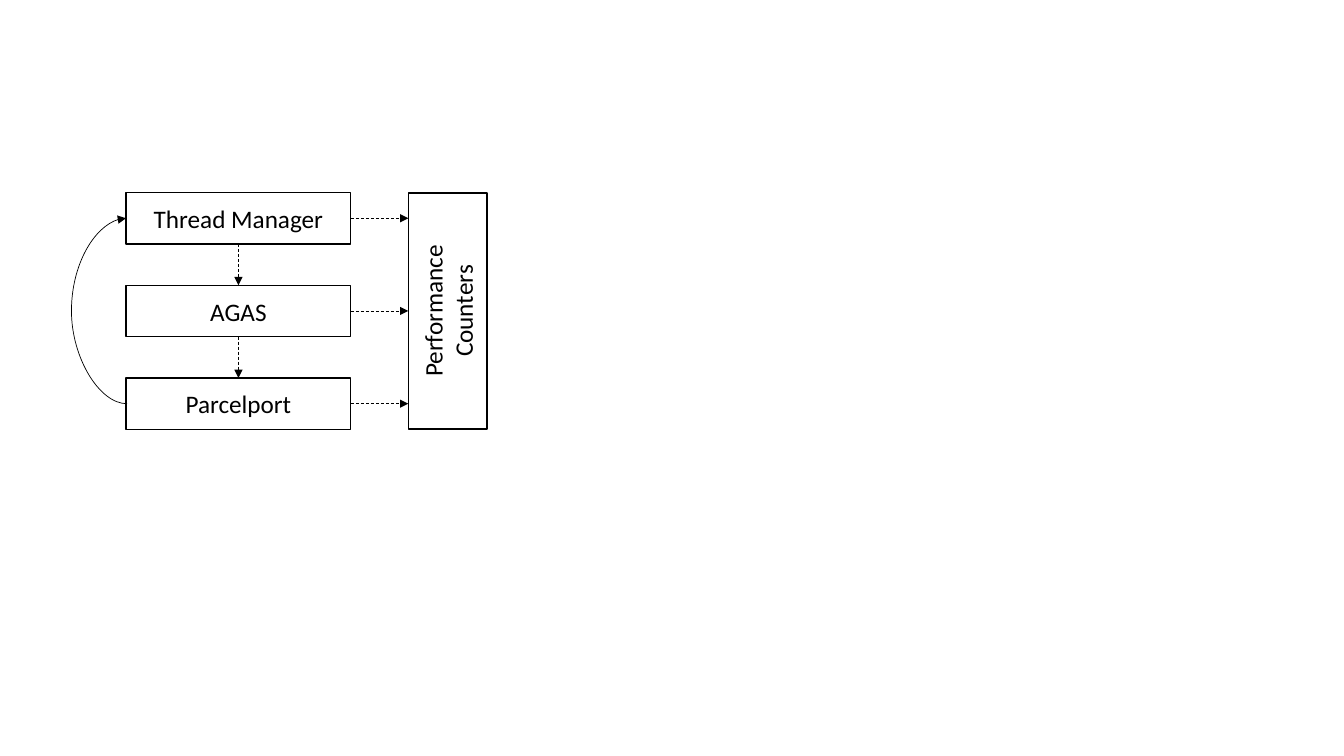
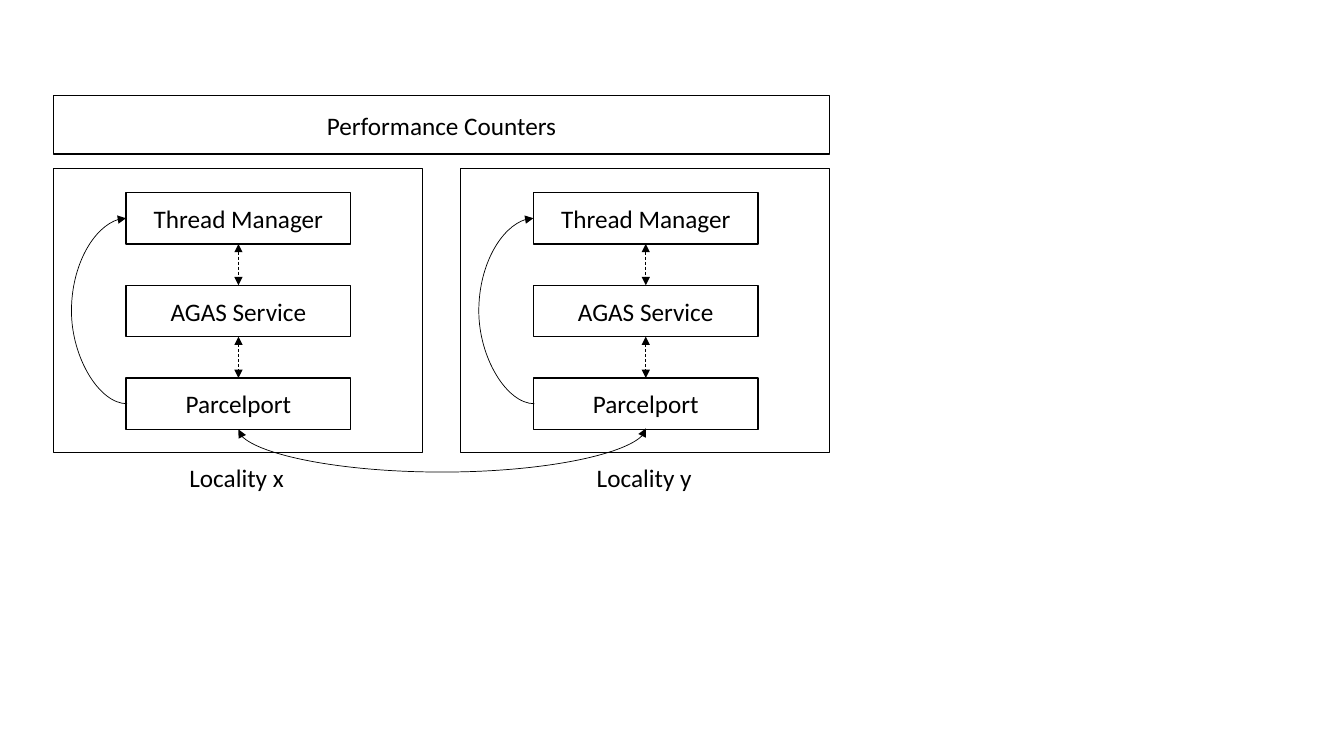
from dataclasses import dataclass

from lxml import etree
from pptx import Presentation
from pptx.dml.color import RGBColor
from pptx.enum.dml import MSO_LINE
from pptx.enum.shapes import MSO_CONNECTOR, MSO_SHAPE
from pptx.enum.text import MSO_ANCHOR, MSO_AUTO_SIZE, PP_ALIGN
from pptx.oxml.ns import qn
from pptx.shapes.autoshape import Shape
from pptx.shapes.connector import Connector
from pptx.slide import Slide
from pptx.util import Inches, Pt

RECTANGLE = MSO_SHAPE.RECTANGLE
STRAIGHT, CURVE = MSO_CONNECTOR.STRAIGHT, MSO_CONNECTOR.CURVE
DASH, MIDDLE, CENTER = MSO_LINE.DASH, MSO_ANCHOR.MIDDLE, PP_ALIGN.CENTER
FIT_SHAPE = MSO_AUTO_SIZE.SHAPE_TO_FIT_TEXT

COLORS = {"ink": "000000"}
FONT, TEXT_SIZE = "Calibri", 18
TOP, BOTTOM, LEFT, RIGHT = 0, 2, 1, 3

COLUMN_STEP, ROW_STEP = 4.04, 0.92
FRAME_LEFT, FRAME_TOP, FRAME_W, FRAME_H = 0.53, 1.67, 3.66, 2.82
STACK_LEFT, STACK_TOP, LAYER_W, LAYER_H = 1.25, 1.91, 2.23, 0.51
COUNTERS_LEFT, COUNTERS_W, COUNTERS_H = 4.05, 2.34, 0.78
LOOP_DEPTH, LINK_DEPTH, SKEW = 0.56, 0.44, 0.01

Point = tuple[float, float]


@dataclass(frozen=True)
class Box:
    """An outlined rectangle, in inches, with optional text."""

    left: float
    top: float
    width: float
    height: float
    text: str = ""
    rotation: float = 0


def ink() -> RGBColor:
    """Return the colour of text and lines."""
    return RGBColor.from_string(COLORS["ink"])


def write(sp: Shape, text: str) -> None:
    """Set the text of a shape in the shared style."""
    sp.text_frame.text = text
    for p in sp.text_frame.paragraphs:
        for r in p.runs:
            r.font.name, r.font.size = FONT, Pt(TEXT_SIZE)
            r.font.color.rgb = ink()


def draw_box(s: Slide, box: Box) -> Shape:
    """Draw an outlined rectangle with centred text."""
    sp = s.shapes.add_shape(RECTANGLE, Inches(box.left), Inches(box.top),
                            Inches(box.width), Inches(box.height))
    sp.rotation = box.rotation
    sp.shadow.inherit = False
    sp.fill.background()
    sp.line.color.rgb, sp.line.width = ink(), Pt(1)
    if box.text:
        write(sp, box.text)
        sp.text_frame.vertical_anchor = MIDDLE
        for p in sp.text_frame.paragraphs:
            p.alignment = CENTER
    return sp


def draw_label(s: Slide, text: str, left: float, top: float) -> None:
    """Draw an unwrapped caption."""
    sp = s.shapes.add_textbox(Inches(left), Inches(top), Inches(1.15), Inches(0.4))
    write(sp, text)
    sp.text_frame.word_wrap = False
    sp.text_frame.auto_size = FIT_SHAPE


def style_line(line: Connector, dashed: bool, both_ends: bool) -> None:
    """Give a connector its thin line and triangle arrowheads."""
    line.line.color.rgb, line.line.width = ink(), Pt(0.5)
    if dashed:
        line.line.dash_style = DASH
    ln = line.line._get_or_add_ln()
    for end in ("a:headEnd", "a:tailEnd") if both_ends else ("a:tailEnd",):
        etree.SubElement(ln, qn(end)).set("type", "triangle")
    etree.SubElement(line._element.spPr, qn("a:effectLst"))


def draw_arrow(s: Slide, start: Point, end: Point, both_ends: bool = False) -> Connector:
    """Draw a straight dashed arrow."""
    line = s.shapes.add_connector(STRAIGHT, *map(Inches, start + end))
    style_line(line, True, both_ends)
    return line


def draw_curve(s: Slide, start: Point, end: Point, depth: float, turn: int,
               both_ends: bool = False) -> None:
    """Draw a curved arrow bulging by depth, turned by 90 or 180 degrees."""
    w, h = abs(end[0] - start[0]), abs(end[1] - start[1])
    if turn == 90:
        w, h = h, w
    x, y = (start[0] + end[0]) / 2, (start[1] + end[1]) / 2
    line = s.shapes.add_connector(CURVE, Inches(x - w / 2), Inches(y - h / 2),
                                  Inches(x + w / 2), Inches(y + h / 2))
    spPr = line._element.spPr
    spPr.find(qn("a:xfrm")).set("rot", str(turn * 60000))
    geom = spPr.find(qn("a:prstGeom"))
    guides = geom.find(qn("a:avLst"))
    if guides is None:
        guides = etree.SubElement(geom, qn("a:avLst"))
    guide = etree.SubElement(guides, qn("a:gd"))
    guide.set("name", "adj1")
    guide.set("fmla", f"val {round(depth / w * 100000)}")
    style_line(line, False, both_ends)


def layer_middle(row: int) -> float:
    """Return the height of the middle of a layer."""
    return STACK_TOP + row * ROW_STEP + LAYER_H / 2


def draw_stack(s: Slide, names: tuple[str, ...], column: int, both_ends: bool) -> list[Shape]:
    """Draw the layers of one locality with their arrows."""
    left = STACK_LEFT + column * COLUMN_STEP
    layers = [draw_box(s, Box(left, STACK_TOP + row * ROW_STEP, LAYER_W, LAYER_H, name))
              for row, name in enumerate(names)]
    draw_curve(s, (left + SKEW, layer_middle(len(names) - 1)), (left, layer_middle(0)),
               LOOP_DEPTH, 180)
    x = left + LAYER_W / 2
    for row, (upper, lower) in enumerate(zip(layers, layers[1:])):
        line = draw_arrow(s, (x, layer_middle(row) + LAYER_H / 2),
                          (x, layer_middle(row + 1) - LAYER_H / 2), both_ends)
        line.begin_connect(upper, BOTTOM)
        line.end_connect(lower, TOP)
    return layers


def build_single(s: Slide) -> None:
    """Draw one stack beside upright performance counters."""
    layers = draw_stack(s, ("Thread Manager", "AGAS", "Parcelport"), 0, False)
    middle = layer_middle(1)
    counters = draw_box(s, Box(COUNTERS_LEFT + (COUNTERS_H - COUNTERS_W) / 2,
                               middle - COUNTERS_H / 2, COUNTERS_W, COUNTERS_H,
                               "Performance\nCounters", 270))
    for row, layer in enumerate(layers):
        y = layer_middle(row)
        line = draw_arrow(s, (STACK_LEFT + LAYER_W, y), (COUNTERS_LEFT, y))
        line.begin_connect(layer, RIGHT)
        if row == 1:
            line.end_connect(counters, TOP)
            line.end_x, line.end_y = Inches(COUNTERS_LEFT), line.begin_y


def build_localities(s: Slide) -> None:
    """Draw two linked localities under shared performance counters."""
    draw_box(s, Box(FRAME_LEFT, 0.95, COLUMN_STEP + FRAME_W, 0.58, "Performance Counters"))
    for column, name in enumerate(("Locality x", "Locality y")):
        shift = column * COLUMN_STEP
        draw_stack(s, ("Thread Manager", "AGAS Service", "Parcelport"), column, True)
        draw_box(s, Box(FRAME_LEFT + shift, FRAME_TOP, FRAME_W, FRAME_H))
        draw_label(s, name, 1.78 + shift, 4.54)
    x, y = STACK_LEFT + LAYER_W / 2, layer_middle(2) + LAYER_H / 2
    draw_curve(s, (x + COLUMN_STEP, y - SKEW), (x, y), LINK_DEPTH, 90, True)


def main() -> None:
    """Build and save the presentation."""
    prs = Presentation()
    prs.slide_width, prs.slide_height = Inches(13.33), Inches(7.5)
    for build in (build_single, build_localities):
        build(prs.slides.add_slide(prs.slide_layouts[6]))
    prs.save("out.pptx")


if __name__ == "__main__":
    main()
